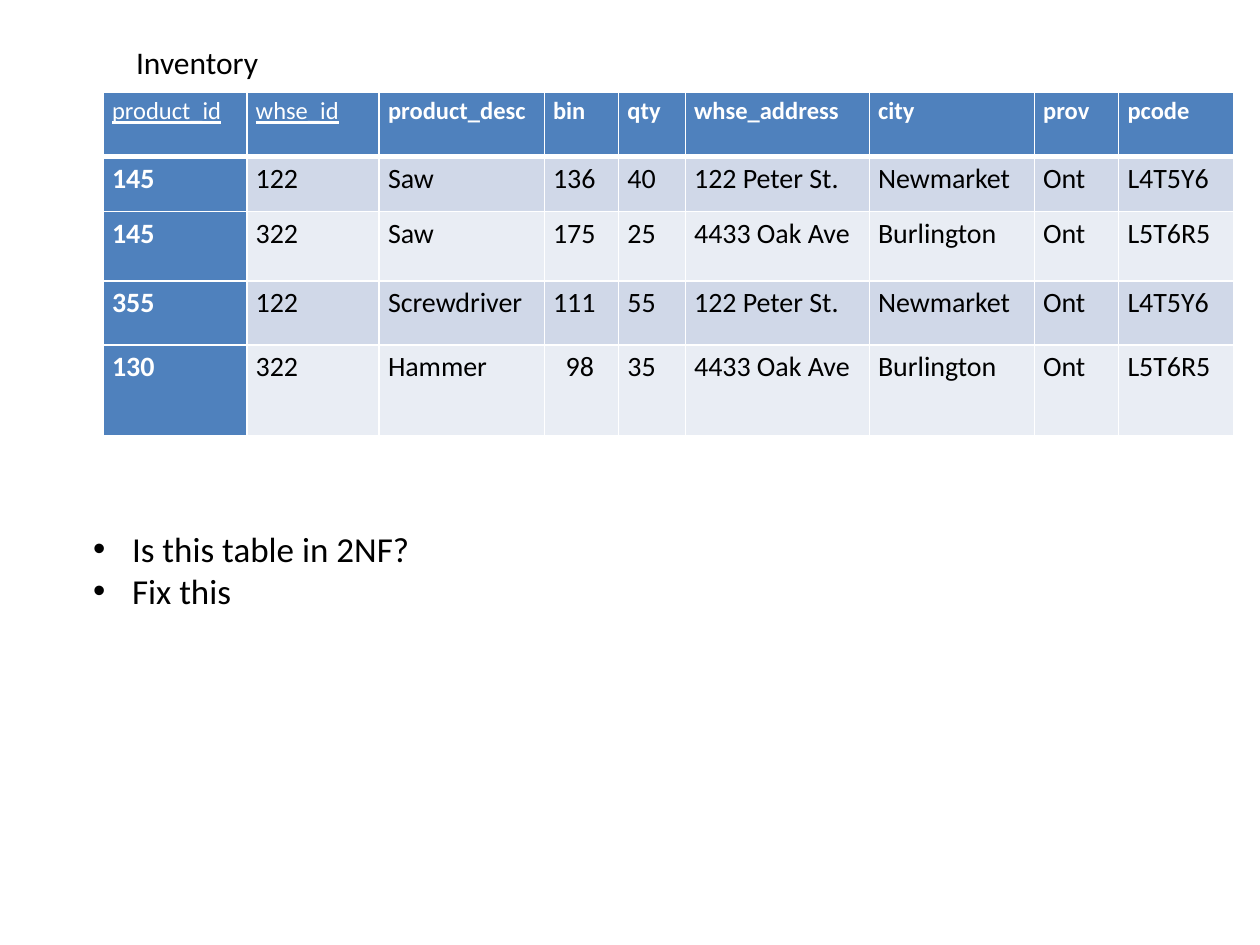
from lxml import etree
from pptx import Presentation
from pptx import util as u
from pptx.dml.color import RGBColor
from pptx.enum import text
from pptx.oxml import ns

INK = {"head": "4F81BD", "odd": "D0D8E8", "even": "E9EDF4",
       "white": "FFFFFF", "black": "000000"}
KEYS = ("product_id", "whse_id")
HEAD = [*KEYS, "product_desc", "bin", "qty", "whse_address", "city", "prov", "pcode"]
SITES = {
    "122": ["122 Peter St.", "Newmarket", "Ont", "L4T5Y6"],
    "322": ["4433 Oak Ave", "Burlington", "Ont", "L5T6R5"],
}
STOCK = [
    ["145", "122", "Saw", "136", "40"],
    ["145", "322", "Saw", "175", "25"],
    ["355", "122", "Screwdriver", "111", "55"],
    ["130", "322", "Hammer", "98", "35"],
]
WIDTHS = [1.14, 1.05, 1.31, 0.59, 0.53, 1.46, 1.31, 0.67, 0.91]
HEIGHTS = [0.51, 0.44, 0.55, 0.51, 0.72]


def color(name):
    return RGBColor.from_string(INK[name])


def write(para, words, size=16, ink="black", bold=False, under=False, space=None):
    para.alignment = text.PP_ALIGN.LEFT
    para.line_spacing = space
    run = para.add_run()
    run.text = words
    font = run.font
    font.name, font.size = "Calibri", u.Pt(size)
    font.bold, font.underline = bold, under
    font.color.rgb = color(ink)


def indent(para, left, first=0):
    props = para._p.get_or_add_pPr()
    props.set("marL", str(u.Inches(left)))
    props.set("indent", str(u.Inches(first)))
    return props


def border(cell, row):
    """Draw white cell edges, with a thick rule under the header."""
    props = cell._tc.get_or_add_tcPr()
    for side in "LRTB":
        thick = (row, side) in ((0, "B"), (1, "T"))
        line = etree.SubElement(props, ns.qn(f"a:ln{side}"),
                                w=str(u.Pt(3 if thick else 1)))
        fill = etree.SubElement(line, ns.qn("a:solidFill"))
        etree.SubElement(fill, ns.qn("a:srgbClr"), val=INK["white"])


def add_cell(cell, words, row, col):
    top, side = row == 0, col == 0
    border(cell, row)
    cell.fill.solid()
    cell.fill.fore_color.rgb = color(
        "head" if top or side else "odd" if row % 2 else "even")
    cell.margin_left = cell.margin_right = u.Inches(0.07)
    cell.margin_top = cell.margin_bottom = 0
    key = top and words in KEYS
    para = cell.text_frame.paragraphs[0]
    write(para, words, size=14 if top else 16, space=1.15,
          ink="white" if top or side else "black",
          bold=(top or side) and not key, under=key)
    # Two-digit bins line up with the three-digit ones
    if HEAD[col] == "bin" and len(words) == 2:
        indent(para, 0.1)


def add_grid(slide):
    rows = [HEAD] + [item + SITES[item[1]] for item in STOCK]
    grid = slide.shapes.add_table(
        len(rows), len(HEAD), u.Inches(0.82), u.Inches(0.73),
        u.Inches(sum(WIDTHS)), u.Inches(sum(HEIGHTS))).table
    grid.first_col = True
    for col, width in zip(grid.columns, WIDTHS):
        col.width = u.Inches(width)
    for row, height in zip(grid.rows, HEIGHTS):
        row.height = u.Inches(height)
    for r, row in enumerate(rows):
        for c, words in enumerate(row):
            add_cell(grid.cell(r, c), words, r, c)


def add_title(slide, words):
    title = slide.shapes.title
    title.left, title.top = u.Inches(0.98), u.Inches(0.29)
    title.width, title.height = u.Inches(1.18), u.Inches(0.4)
    frame = title.text_frame
    frame.word_wrap = False
    frame.auto_size = text.MSO_AUTO_SIZE.NONE
    frame.vertical_anchor = text.MSO_ANCHOR.TOP
    write(frame.paragraphs[0], words, size=18)


def add_list(slide, lines):
    box = slide.shapes.add_textbox(
        u.Inches(0.64), u.Inches(4.14), u.Inches(9.33), u.Inches(0.77))
    frame = box.text_frame
    frame.word_wrap = True
    for i, words in enumerate(lines):
        para = frame.add_paragraph() if i else frame.paragraphs[0]
        write(para, words, size=20)
        props = indent(para, 0.31, -0.31)
        etree.SubElement(props, ns.qn("a:buFont"), typeface="Arial")
        etree.SubElement(props, ns.qn("a:buChar"), char="•")


def main():
    deck = Presentation()
    deck.slide_width, deck.slide_height = u.Inches(10), u.Inches(7.5)
    slide = deck.slides.add_slide(deck.slide_layouts[5])
    add_title(slide, "Inventory")
    add_grid(slide)
    add_list(slide, ["Is this table in 2NF?", "Fix this"])
    deck.save("out.pptx")


if __name__ == "__main__":
    main()
